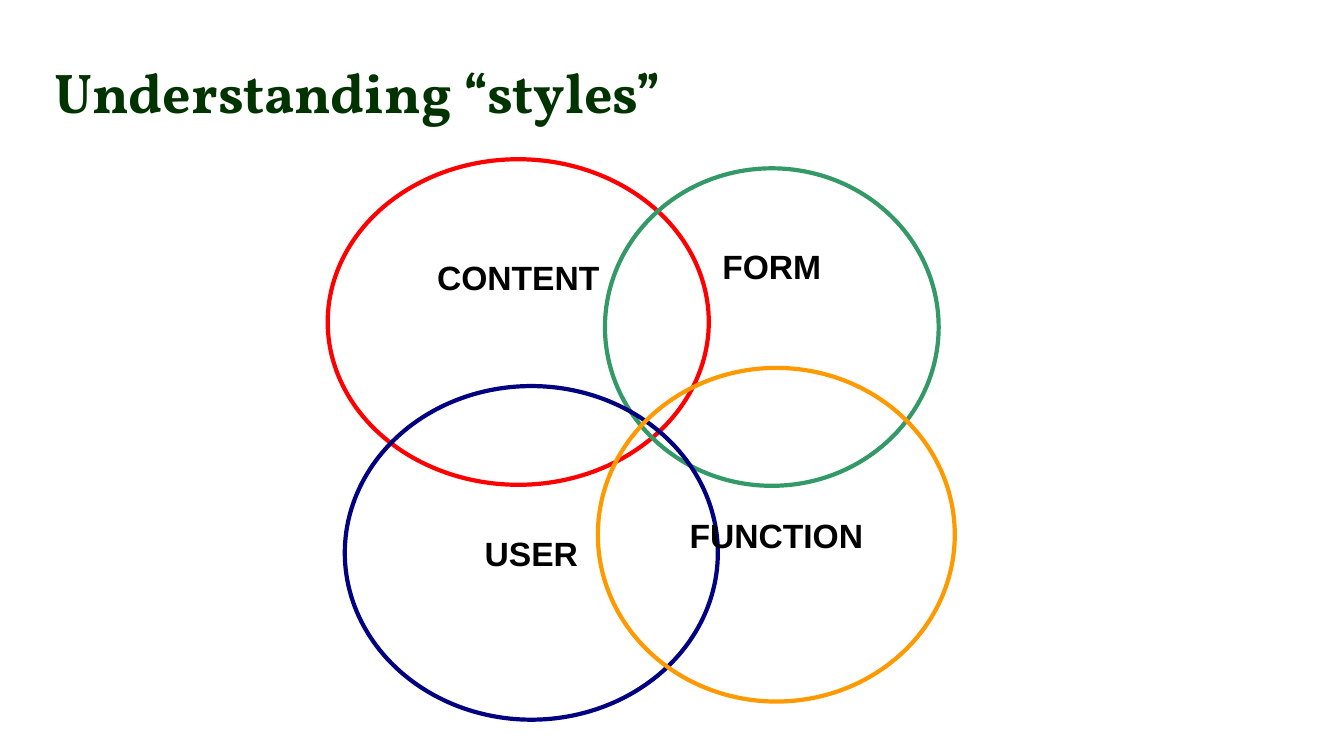
"""Build a slide of four overlapping circles around the idea of styles."""
from dataclasses import dataclass

from pptx import Presentation
from pptx.dml.color import RGBColor as RGB
from pptx.enum.shapes import MSO_SHAPE as Shape
from pptx.enum.text import MSO_ANCHOR as Anchor, PP_ALIGN as Align
from pptx.slide import Slide
from pptx.text.text import TextFrame
from pptx.util import Inches, Pt

BLACK = RGB(0x00, 0x00, 0x00)
FOREST = RGB(0x00, 0x33, 0x00)
RED = RGB(0xFF, 0x00, 0x00)
GREEN = RGB(0x33, 0x99, 0x66)
NAVY = RGB(0x00, 0x00, 0x80)
ORANGE = RGB(0xFF, 0x99, 0x00)
INSET = 0.05


@dataclass(frozen=True)
class Ring:
    label: str
    left: float
    top: float
    width: float
    height: float
    color: RGB
    lift: float = 0


RINGS = [
    Ring("CONTENT", 3.25, 1.58, 3.78, 3.23, RED, lift=0.45),
    Ring("FORM", 6, 1.67, 3.31, 3.15, GREEN, lift=0.61),
    Ring("USER", 3.42, 3.83, 3.7, 3.31, NAVY),
    Ring("FUNCTION", 5.93, 3.65, 3.54, 3.31, ORANGE),
]


def write(frame: TextFrame, text: str, *, size: float, face: str, color: RGB,
          align: Align, wrap: bool = True, spacing: float = 1) -> None:
    frame.word_wrap = wrap
    frame.vertical_anchor = Anchor.MIDDLE
    line = frame.paragraphs[0]
    line.alignment = align
    line.line_spacing = spacing
    run = line.add_run()
    run.text = text
    run.font.size = Pt(size)
    run.font.name = face
    run.font.bold = True
    run.font.color.rgb = color


def draw_ring(slide: Slide, ring: Ring) -> None:
    oval = slide.shapes.add_shape(
        Shape.OVAL, Inches(ring.left), Inches(ring.top),
        Inches(ring.width), Inches(ring.height))
    oval.shadow.inherit = False
    oval.fill.background()
    oval.line.color.rgb = ring.color
    oval.line.width = Pt(3)
    frame = oval.text_frame
    frame.margin_top = Inches(INSET)
    frame.margin_bottom = Inches(INSET + 2 * ring.lift)
    write(frame, ring.label, size=24, face="Arial", color=BLACK,
          align=Align.CENTER, wrap=False)


def main() -> None:
    deck = Presentation()
    deck.slide_width, deck.slide_height = Inches(13.33), Inches(7.5)
    slide = deck.slides.add_slide(deck.slide_layouts.get_by_name("Title Only"))

    title = slide.shapes.title
    title.left, title.top = Inches(0.44), Inches(0.22)
    title.width, title.height = Inches(11.5), Inches(1.45)
    write(title.text_frame, "Understanding “styles”", size=40, face="Vollkorn",
          color=FOREST, align=Align.LEFT, spacing=0.9)

    for ring in RINGS:
        draw_ring(slide, ring)
    deck.save("out.pptx")


if __name__ == "__main__":
    main()
